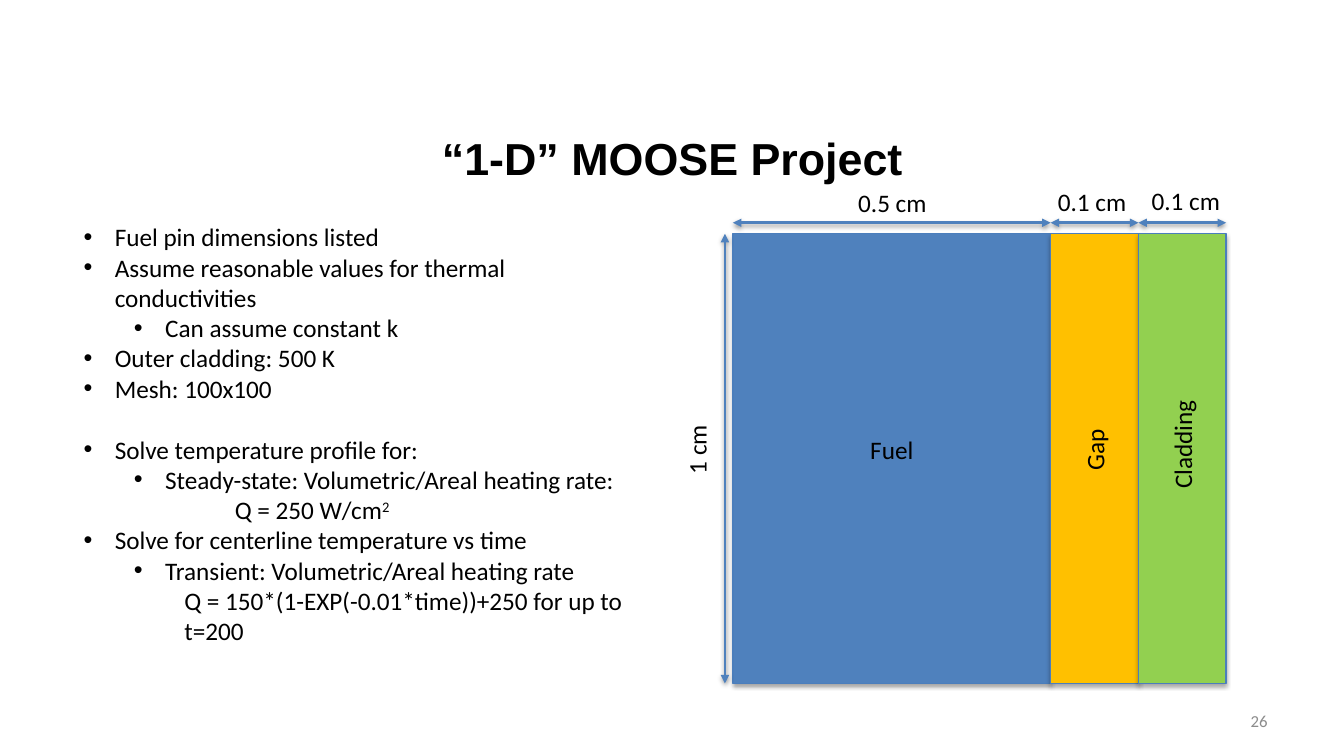
from lxml import etree
from pptx import Presentation
from pptx import util as u
from pptx.dml.color import RGBColor
from pptx.enum import shapes, text
from pptx.oxml.ns import qn

BLACK, BLUE, EDGE = "000000", "4F81BD", "4B7EBC"
CENTER, RIGHT = text.PP_ALIGN.CENTER, text.PP_ALIGN.RIGHT
MIDDLE, TOP = text.MSO_ANCHOR.MIDDLE, text.MSO_ANCHOR.TOP


def color(value):
    return RGBColor.from_string(value)


def add_text(paragraph, words, size=18, font="Calibri", hue=BLACK, bold=False, raised=0):
    run = paragraph.add_run()
    run.text = words
    run.font.size, run.font.name, run.font.bold = u.Pt(size), font, bold
    run.font.color.rgb = color(hue)
    if raised:
        run.font._element.set("baseline", str(raised * 1000))


def add_shadow(element, alpha, distance):
    effects = etree.SubElement(element.spPr, qn("a:effectLst"))
    outer = etree.SubElement(effects, qn("a:outerShdw"), blurRad=str(u.Pt(3.1)),
                             dist=str(u.Pt(distance)), dir="5400000", rotWithShape="0")
    tint = etree.SubElement(outer, qn("a:srgbClr"), val=BLACK)
    etree.SubElement(tint, qn("a:alpha"), val=str(alpha * 1000))


class SlideBuilder:
    def __init__(self, slide):
        self.shapes = slide.shapes

    def frame(self, left, top, width, height, anchor=TOP, turn=0):
        box = self.shapes.add_textbox(*map(u.Inches, (left, top, width, height)))
        box.rotation = turn
        box.text_frame.word_wrap = True
        box.text_frame.vertical_anchor = anchor
        return box.text_frame

    def line_of_text(self, words, place, align=CENTER, anchor=TOP, turn=0, **style):
        paragraph = self.frame(*place, anchor=anchor, turn=turn).paragraphs[0]
        paragraph.alignment = align
        add_text(paragraph, words, **style)

    def label(self, words, center, middle, turn=0):
        width, height = 1.79, 0.4
        self.line_of_text(words, (center - width / 2, middle - height / 2, width, height), turn=turn)

    def region(self, left, top, width, height, fill):
        block = self.shapes.add_shape(shapes.MSO_SHAPE.RECTANGLE,
                                      *map(u.Inches, (left, top, width, height)))
        block.fill.solid()
        block.fill.fore_color.rgb = color(fill)
        block.line.color.rgb = color(EDGE)
        block.line.width = u.Pt(0.75)
        add_shadow(block._element, 35, 1.8)

    def dimension(self, x1, y1, x2, y2):
        arrow = self.shapes.add_connector(shapes.MSO_CONNECTOR.STRAIGHT,
                                          *map(u.Inches, (x1, y1, x2, y2)))
        arrow.line.color.rgb = color(BLUE)
        arrow.line.width = u.Pt(2)
        for end in ("a:headEnd", "a:tailEnd"):
            etree.SubElement(arrow.line._get_or_add_ln(), qn(end), type="triangle")
        add_shadow(arrow._element, 38, 1.6)

    def outline(self, items, place):
        body = self.frame(*place)
        for index, (level, indent, bullet, before, pieces) in enumerate(items):
            paragraph = body.paragraphs[0] if index == 0 else body.add_paragraph()
            paragraph.level = level
            props = paragraph._p.get_or_add_pPr()
            props.set("marL", str(u.Inches(indent)))
            props.set("indent", str(u.Inches(-0.31 if bullet else 0)))
            paragraph.space_before = u.Pt(before)
            if bullet:
                etree.SubElement(props, qn("a:buFont"), typeface="Arial")
                etree.SubElement(props, qn("a:buChar"), char="•")
            else:
                etree.SubElement(props, qn("a:buNone"))
            for words, raised in pieces:
                add_text(paragraph, words, raised=raised)


def point(words, level=0, before=0):
    return level, 0.31 + 0.5 * level, True, before, [(words, 0)]


def formula(level, indent, *pieces):
    return level, indent, False, 0, pieces


def main():
    deck = Presentation()
    deck.slide_width, deck.slide_height = u.Inches(13.33), u.Inches(7.5)
    builder = SlideBuilder(deck.slides.add_slide(deck.slide_layouts[6]))

    # Title and page number
    builder.line_of_text("“1-D” MOOSE Project", (0.67, 0.98, 12, 1.17), anchor=MIDDLE,
                         size=32, font="Arial", bold=True)
    builder.line_of_text("26", (9.56, 6.95, 3.11, 0.4), align=RIGHT, anchor=MIDDLE,
                         size=12, hue="8C8C8C")

    # Fuel pin cross-section: name, width, fill, label middle and turn, dimension
    pin_left, pin_top, pin_height = 7.27, 2.32, 4.46
    layers = [
        ("Fuel", 3.15, BLUE, 4.46, 0, "0.5 cm", 8.85, 2.01),
        ("Gap", 0.87, "FFC000", 4.46, 270, "0.1 cm", 10.83, 2.0),
        ("Cladding", 0.87, "92D050", 4.41, 270, "0.1 cm", 11.76, 1.99),
    ]
    left = pin_left
    for name, width, fill, middle, turn, size, size_center, size_middle in layers:
        builder.region(left, pin_top, width, pin_height, fill)
        builder.dimension(left, 2.21, left + width, 2.21)
        builder.label(name, left + width / 2, middle, turn)
        builder.label(size, size_center, size_middle)
        left += width
    builder.dimension(7.19, pin_top + pin_height, 7.19, pin_top)
    builder.label("1 cm", 6.91, 4.46, 270)

    # Assignment
    builder.outline([
        point("Fuel pin dimensions listed"),
        point("Assume reasonable values for thermal conductivities"),
        point("Can assume constant k", level=1),
        point("Outer cladding: 500 K"),
        point("Mesh: 100x100"),
        point("Solve temperature profile for:", before=22),
        point("Steady-state: Volumetric/Areal heating rate:", level=1),
        formula(1, 1.5, ("Q = 250 W/cm", 0), ("2", 30)),
        point("Solve for centerline temperature vs time"),
        point("Transient: Volumetric/Areal heating rate", level=1),
        formula(2, 1, ("Q = 150*(1-EXP(-0.01*time))+250 for up to t=200", 0)),
    ], (0.73, 2.15, 5.75, 4.34))

    deck.save("out.pptx")


if __name__ == "__main__":
    main()
